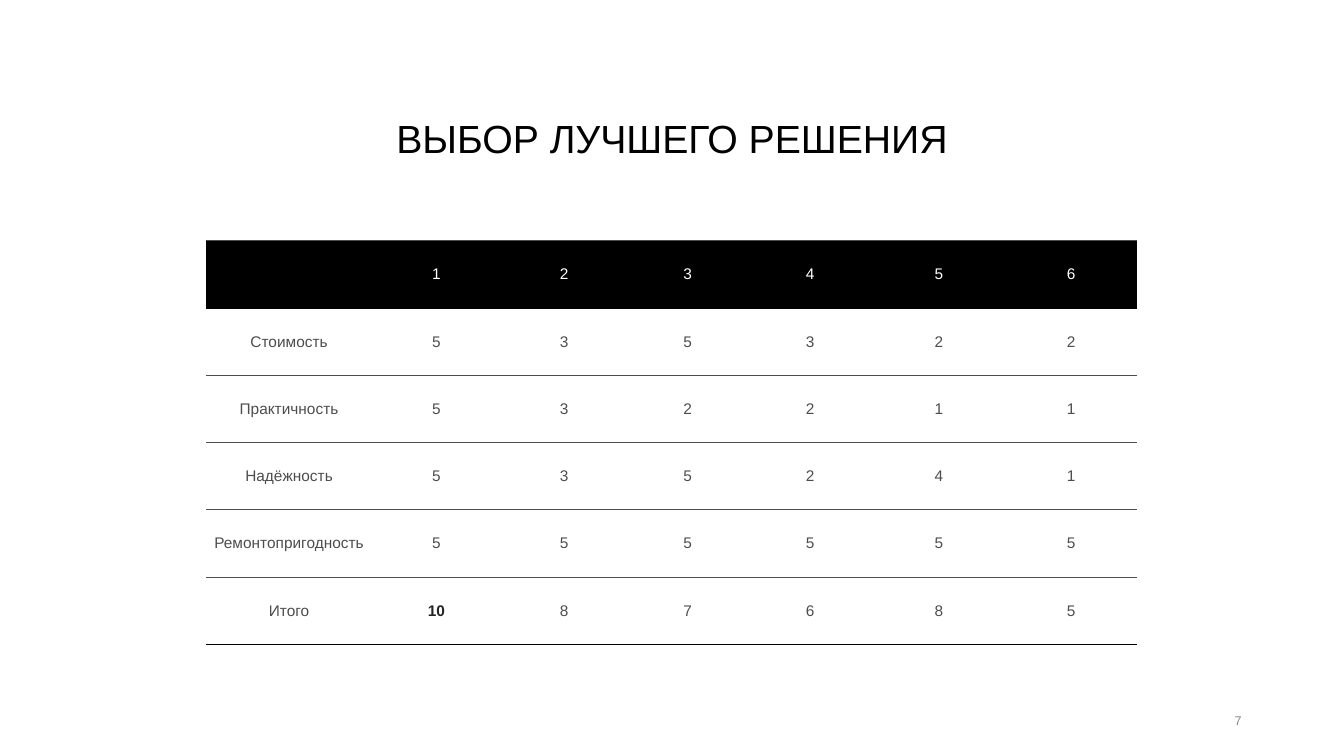
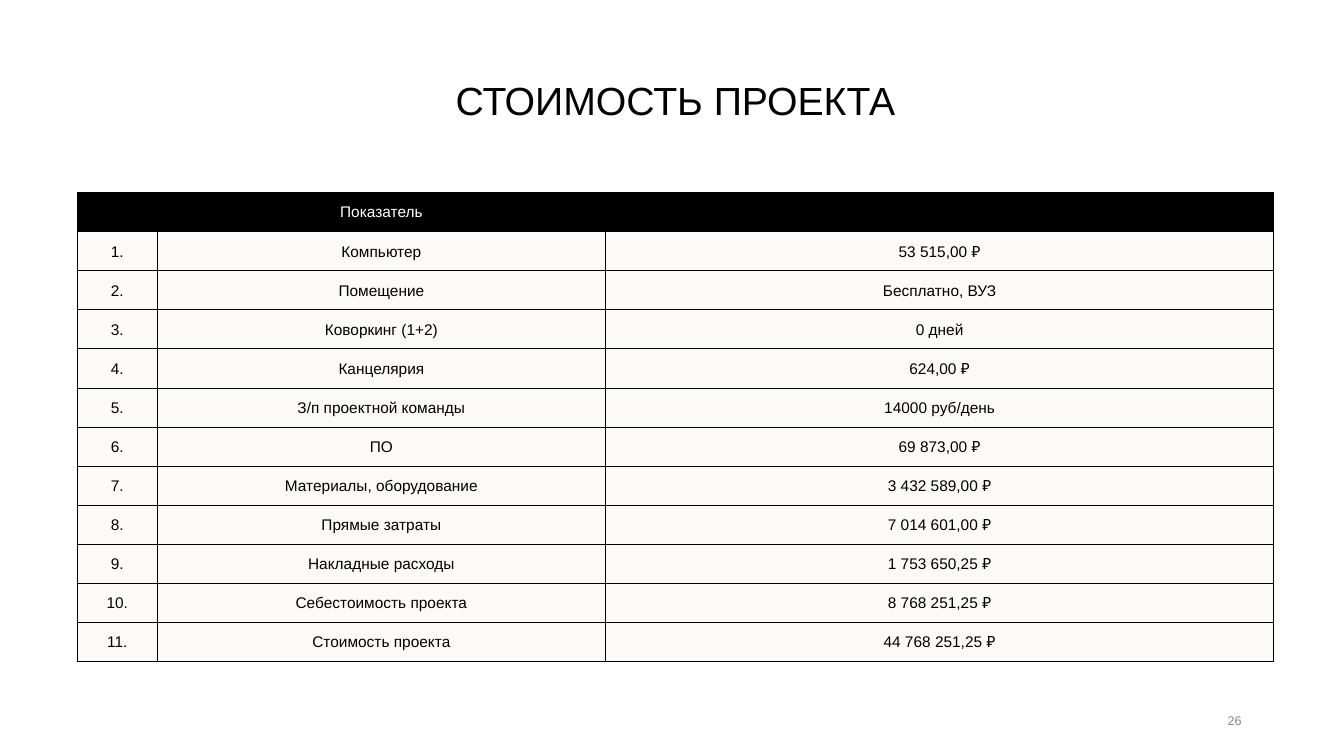
from lxml.etree import SubElement
from pptx import Presentation
from pptx.dml.color import RGBColor
from pptx.enum.text import MSO_ANCHOR as Anchor, PP_ALIGN as Align
from pptx.oxml.ns import qn
from pptx.util import Pt

# Shared look
FONT = "Arial"
BLACK = RGBColor(0x00, 0x00, 0x00)
WHITE = RGBColor(0xFF, 0xFF, 0xFF)
DARK = RGBColor(0x24, 0x24, 0x24)
GREY = RGBColor(0x4D, 0x4D, 0x4D)
NUMBER_GREY = RGBColor(0x88, 0x88, 0x88)
PAPER = RGBColor(0xFB, 0xFA, 0xF9)
NO_STYLE = "{2D5ABB26-0587-4C30-8999-92F81FD0307C}"

# Table contents
SOLUTIONS = [
    ("", "1", "2", "3", "4", "5", "6"),
    ("Стоимость", "5", "3", "5", "3", "2", "2"),
    ("Практичность", "5", "3", "2", "2", "1", "1"),
    ("Надёжность", "5", "3", "5", "2", "4", "1"),
    ("Ремонтопригодность", "5", "5", "5", "5", "5", "5"),
    ("Итого", "10", "8", "7", "6", "8", "5"),
]
COSTS = [
    ("Компьютер", "53 515,00 ₽"),
    ("Помещение", "Бесплатно, ВУЗ"),
    ("Коворкинг (1+2)", "0 дней"),
    ("Канцелярия", "624,00 ₽"),
    ("З/п проектной команды", "14000 руб/день"),
    ("ПО", "69 873,00 ₽"),
    ("Материалы, оборудование", "3 432 589,00 ₽"),
    ("Прямые затраты", "7 014 601,00 ₽"),
    ("Накладные расходы", "1 753 650,25 ₽"),
    ("Себестоимость проекта", "8 768 251,25 ₽"),
    ("Стоимость проекта", "44 768 251,25 ₽"),
]


def write_text(frame, text, size=11, color=BLACK, bold=False,
               align=Align.CENTER, spacing=None):
    paragraph = frame.paragraphs[0]
    paragraph.alignment = align
    paragraph.line_spacing = spacing
    run = paragraph.add_run()
    run.text = text
    run.font.name = FONT
    run.font.size = Pt(size)
    run.font.bold = bold
    run.font.color.rgb = color


def add_text(slide, box, text, **style):
    frame = slide.shapes.add_textbox(*map(Pt, box)).text_frame
    frame.word_wrap = True
    frame.vertical_anchor = Anchor.MIDDLE
    write_text(frame, text, **style)


def add_slide(presentation, title, title_box, number):
    slide = presentation.slides.add_slide(presentation.slide_layouts[6])
    add_text(slide, title_box, title, size=28, spacing=0.9)
    add_text(slide, (678, 500, 216, 29), number, size=9,
             color=NUMBER_GREY, align=Align.RIGHT)
    return slide


def add_table(slide, rows, left, top, widths, row_height, margins):
    """Place an unstyled table with centred cells and a black header."""
    frame = slide.shapes.add_table(
        len(rows), len(widths), Pt(left), Pt(top),
        Pt(sum(widths)), Pt(row_height * len(rows)))
    table = frame.table
    table.horz_banding = False
    table._tbl.tblPr.find(qn("a:tableStyleId")).text = NO_STYLE
    for column, width in zip(table.columns, widths):
        column.width = Pt(width)
    for row in table.rows:
        row.height = Pt(row_height)
        for cell in row.cells:
            cell.vertical_anchor = Anchor.MIDDLE
            (cell.margin_left, cell.margin_top,
             cell.margin_right, cell.margin_bottom) = map(Pt, margins)
    return table


def set_borders(cell, width, **colors):
    """Draw the given sides, named in schema order: L, R, T, B."""
    properties = cell._tc.get_or_add_tcPr()
    for side, color in colors.items():
        line = SubElement(properties, qn(f"a:ln{side}"), w=str(Pt(width)))
        fill = SubElement(line, qn("a:solidFill"))
        SubElement(fill, qn("a:srgbClr"), val=str(color))


def fill_cell(cell, color):
    if color is None:
        cell.fill.background()
    else:
        cell.fill.solid()
        cell.fill.fore_color.rgb = color


def add_solution_slide(presentation):
    slide = add_slide(presentation, "ВЫБОР ЛУЧШЕГО РЕШЕНИЯ",
                      (66, 48, 828, 104.5), "7")
    table = add_table(slide, SOLUTIONS, 147, 172,
                      (119, 91.5, 91, 85.5, 89.5, 94.5, 94.5), 48.05,
                      (5.76, 2.88, 5.76, 2.88))
    # One rule above each row and one below the last
    rules = [GREY, BLACK, GREY, GREY, GREY, GREY, BLACK]
    for r, values in enumerate(SOLUTIONS):
        for c, value in enumerate(values):
            cell = table.cell(r, c)
            best = value == "10"
            color = WHITE if r == 0 else DARK if best else GREY
            set_borders(cell, 1, T=rules[r], B=rules[r + 1])
            fill_cell(cell, BLACK if r == 0 else None)
            write_text(cell.text_frame, value, color=color, bold=best)


def add_cost_slide(presentation):
    slide = add_slide(presentation, "СТОИМОСТЬ ПРОЕКТА",
                      (57.5, 37.5, 850, 72.5), "26")
    rows = [("", "Показатель", "")]
    rows += [(f"{n}.", *cost) for n, cost in enumerate(COSTS, 1)]
    table = add_table(slide, rows, 55, 137.5, (57.5, 320, 477.5), 27.93,
                      (0.7, 0.7, 0.7, 0))
    for r, values in enumerate(rows):
        for c, value in enumerate(values):
            cell = table.cell(r, c)
            set_borders(cell, 0.75, L=BLACK, R=BLACK, T=BLACK, B=BLACK)
            fill_cell(cell, PAPER if r else BLACK)
            write_text(cell.text_frame, value, color=BLACK if r else WHITE)


def main():
    presentation = Presentation()
    presentation.slide_width = Pt(960)
    presentation.slide_height = Pt(540)
    add_solution_slide(presentation)
    add_cost_slide(presentation)
    presentation.save("out.pptx")


if __name__ == "__main__":
    main()
